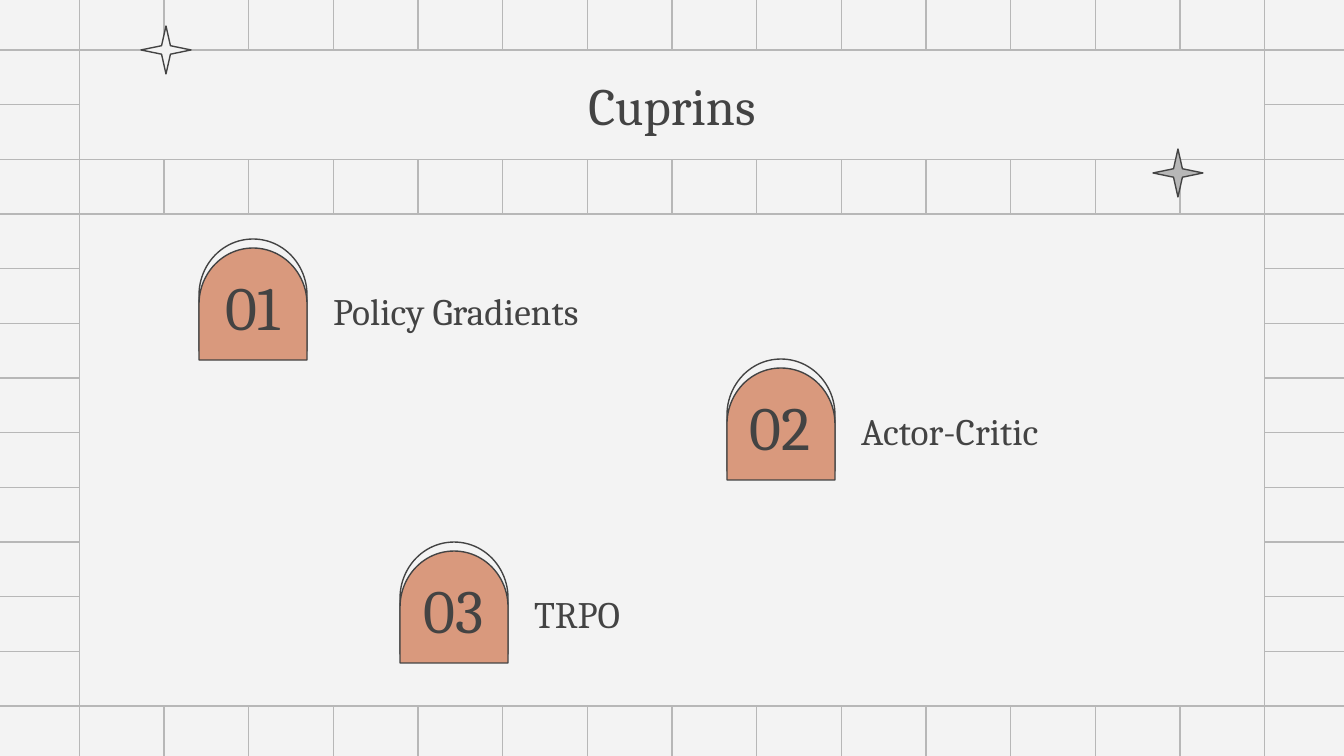
from lxml import etree
from pptx import Presentation
from pptx.dml.color import RGBColor
from pptx.enum.shapes import MSO_CONNECTOR, MSO_SHAPE
from pptx.enum.text import MSO_ANCHOR, PP_ALIGN
from pptx.oxml.ns import qn
from pptx.util import Pt

SCALE = 914400 / 134.4  # EMU per px
WIDTH, HEIGHT = 1344, 756
CENTER_X, CENTER_Y = WIDTH // 2, HEIGHT // 2
# Three grid columns span 254 px and three rows span 164 px
COLUMN, ROW = 254 / 3, 164 / 3
HALF_COLUMNS, HALF_ROWS = 7, 6
LEFT = CENTER_X - HALF_COLUMNS * COLUMN
TOP = CENTER_Y - HALF_ROWS * ROW
FRAME_WIDTH = 2 * HALF_COLUMNS * COLUMN
OVERHANG = 5

PAPER, GRID, INK, CLAY = "F3F3F3", "B7B7B7", "434343", "D9997D"
FONT = "Cambria"
RECTANGLE = MSO_SHAPE.RECTANGLE
ARCH = MSO_SHAPE.FLOWCHART_DELAY
STAR = MSO_SHAPE.STAR_4_POINT
STRAIGHT = MSO_CONNECTOR.STRAIGHT
MIDDLE = MSO_ANCHOR.MIDDLE
ALIGN_CENTER, ALIGN_LEFT = PP_ALIGN.CENTER, PP_ALIGN.LEFT

# Number, topic, left and top of the badge
TOPICS = [
    ("01", "Policy Gradients", 197, 241),
    ("02", "Actor-Critic", 725, 361),
    ("03", "TRPO", 398, 544),
]


def px(length):
    return round(length * SCALE)


def color(value):
    return RGBColor.from_string(value)


def add_line(slide, x1, y1, x2, y2):
    line = slide.shapes.add_connector(STRAIGHT, px(x1), px(y1), px(x2), px(y2))
    line.line.color.rgb = color(GRID)
    line.line.width = Pt(0.75)
    etree.SubElement(line._element.spPr, qn("a:effectLst"))


def add_shape(slide, kind, left, top, width, height, fill, outline):
    shape = slide.shapes.add_shape(kind, px(left), px(top), px(width), px(height))
    shape.shadow.inherit = False
    shape.fill.solid()
    shape.fill.fore_color.rgb = color(fill)
    shape.line.color.rgb = color(outline)
    shape.line.width = Pt(0.75)
    return shape


def write(shape, text, size, align):
    frame = shape.text_frame
    frame.word_wrap = True
    frame.vertical_anchor = MIDDLE
    frame.margin_left = frame.margin_right = px(13)
    frame.margin_top = frame.margin_bottom = px(13)
    paragraph = frame.paragraphs[0]
    paragraph.text = text
    paragraph.alignment = align
    paragraph.font.name = FONT
    paragraph.font.size = Pt(size)
    paragraph.font.color.rgb = color(INK)


def add_text(slide, left, top, width, height, text, size, align):
    box = slide.shapes.add_textbox(px(left), px(top), px(width), px(height))
    write(box, text, size, align)


def add_grid(slide):
    # Each line runs in two halves that meet at the middle of the slide
    for start, end in ((-OVERHANG, CENTER_Y), (CENTER_Y, HEIGHT + OVERHANG)):
        for column in range(-HALF_COLUMNS, HALF_COLUMNS + 1):
            x = CENTER_X + column * COLUMN
            add_line(slide, x, start, x, end)
    for start, end in ((-OVERHANG, CENTER_X), (CENTER_X, WIDTH + OVERHANG)):
        for row in range(-HALF_ROWS, HALF_ROWS + 1):
            y = CENTER_Y + row * ROW
            add_line(slide, start, y, end, y)


def add_panel(slide, first_row, rows):
    top = TOP + first_row * ROW
    return add_shape(slide, RECTANGLE, LEFT, top, FRAME_WIDTH, rows * ROW, PAPER, GRID)


def add_star(slide, left, top, fill):
    star = add_shape(slide, STAR, left, top, 50, 48, fill, INK)
    star.adjustments[0] = 0.125


def add_topic(slide, number, topic, left, top):
    for offset, fill in ((0, PAPER), (9, CLAY)):
        arch = add_shape(slide, ARCH, left, top + offset, 112, 108, fill, INK)
        arch.rotation = 270
    add_text(slide, left + 123, top + 43, 431, 54, topic, 20, ALIGN_LEFT)
    add_text(slide, left - 7, top + 28, 125, 73, number, 33, ALIGN_CENTER)


def main():
    presentation = Presentation()
    presentation.slide_width = px(WIDTH)
    presentation.slide_height = px(HEIGHT)
    slide = presentation.slides.add_slide(presentation.slide_layouts[6])
    slide.background.fill.solid()
    slide.background.fill.fore_color.rgb = color(PAPER)

    # Grid with the content panel and the title bar over it
    add_grid(slide)
    add_panel(slide, 3, 9)
    title = add_panel(slide, 0, 2)
    write(title, "Cuprins", 28, ALIGN_CENTER)

    # Stars
    add_star(slide, 1153, 149, GRID)
    add_star(slide, 141, 26, PAPER)

    # Topics
    for topic in TOPICS:
        add_topic(slide, *topic)

    presentation.save("out.pptx")


if __name__ == "__main__":
    main()
